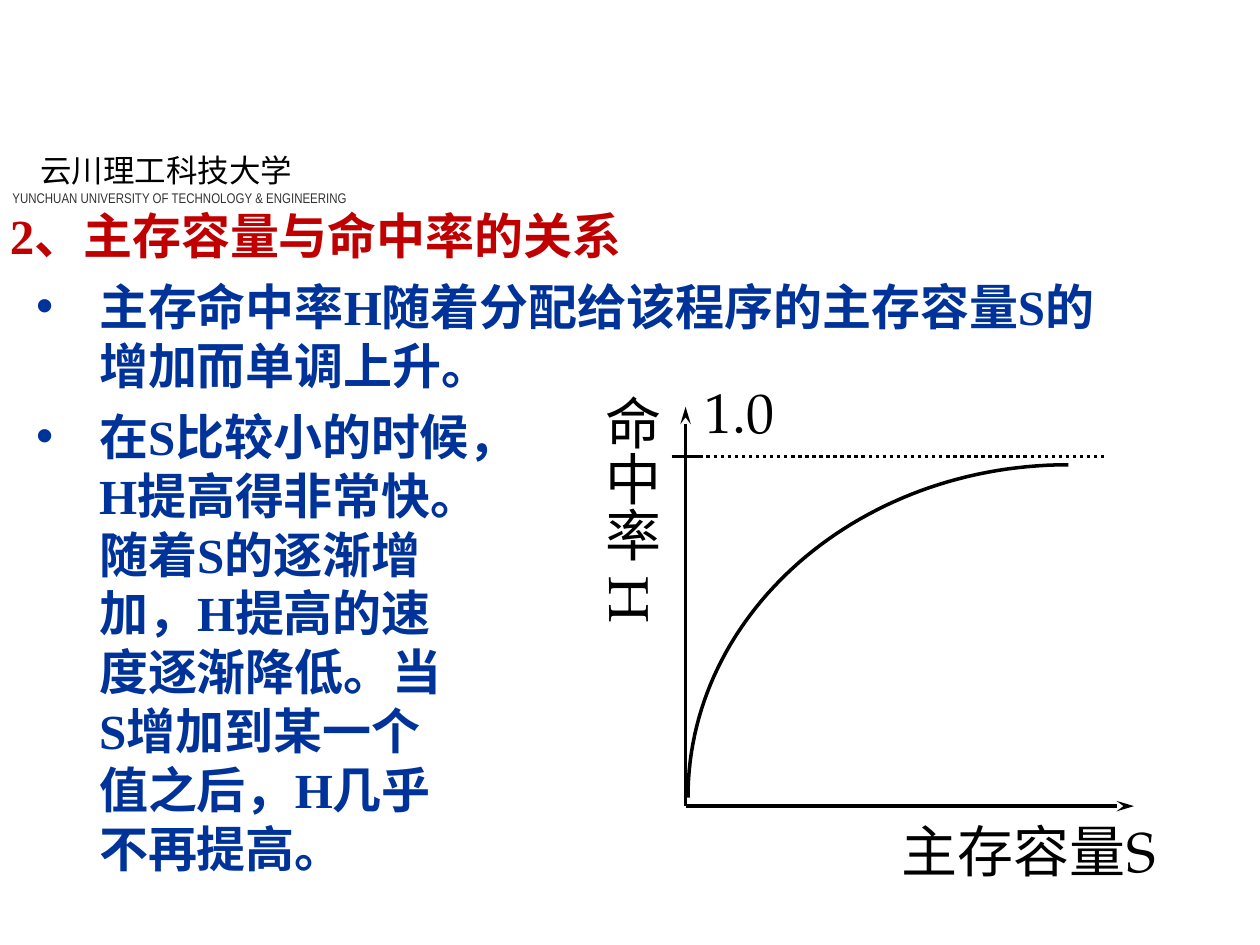
from dataclasses import dataclass

from lxml.etree import SubElement
from pptx import Presentation
from pptx.dml.color import RGBColor
from pptx.enum.dml import MSO_LINE
from pptx.enum.shapes import MSO_CONNECTOR
from pptx.enum.text import MSO_ANCHOR, PP_ALIGN
from pptx.oxml.ns import qn
from pptx.slide import Slide
from pptx.util import Cm, Pt

COLORS = {"black": "000000", "gray": "333333", "red": "C00000", "blue": "003399"}


@dataclass
class SlideWriter:
    slide: Slide
    body_font: str = "Times New Roman"
    label_font: str = "TeX Gyre Pagella"
    bullet_font: str = "Arial"
    line_width: float = 2

    def text_box(self, left, top, width, height, margins=(0.25, 0.13), wrap=True):
        shape = self.slide.shapes.add_textbox(Cm(left), Cm(top), Cm(width), Cm(height))
        frame = shape.text_frame
        frame.word_wrap = wrap
        frame.margin_left = frame.margin_right = Cm(margins[0])
        frame.margin_top = frame.margin_bottom = Cm(margins[1])
        return shape

    def paragraph(self, shape, lines, size, font, color, bold=False, indent=(0, 0),
                  before=0, level=0, bullet=None):
        frame = shape.text_frame
        first = frame.paragraphs[0]
        paragraph = frame.add_paragraph() if first.runs else first
        paragraph.level = level
        paragraph.space_before = Pt(before)
        for number, line in enumerate(lines):
            if number:
                paragraph.add_line_break()
            run = paragraph.add_run()
            run.text = line
            run.font.size = Pt(size)
            run.font.name = font
            run.font.bold = bold
            run.font.color.rgb = RGBColor.from_string(COLORS[color])
        properties = paragraph._p.get_or_add_pPr()
        properties.set("marL", str(Cm(indent[0])))
        properties.set("indent", str(Cm(indent[1])))
        if bullet:
            bullet_color = SubElement(properties, qn("a:buClr"))
            SubElement(bullet_color, qn("a:srgbClr")).set("val", COLORS[color])
            SubElement(properties, qn("a:buFont")).set("typeface", self.bullet_font)
            SubElement(properties, qn("a:buChar")).set("char", bullet)
        return paragraph

    def label(self, text, left, top, width, height, spacing, vertical=False):
        margins = (0.1, 0.2) if vertical else (0, 0.1)
        shape = self.text_box(left, top, width, height, margins, wrap=False)
        shape.text_frame.vertical_anchor = MSO_ANCHOR.MIDDLE
        paragraph = self.paragraph(shape, [text], 32, self.label_font, "black")
        paragraph.alignment = PP_ALIGN.CENTER
        paragraph.line_spacing = spacing
        if vertical:
            shape.element.find(".//" + qn("a:bodyPr")).set("vert", "eaVert")

    def style_line(self, shape):
        shape.line.color.rgb = RGBColor.from_string(COLORS["black"])
        shape.line.width = Pt(self.line_width)

    def line(self, start, end, dash=None, arrow=None):
        points = [Cm(value) for value in (*start, *end)]
        connector = self.slide.shapes.add_connector(MSO_CONNECTOR.STRAIGHT, *points)
        self.style_line(connector)
        if dash:
            connector.line.dash_style = dash
        if arrow:
            outline = connector.element.find(".//" + qn("a:ln"))
            arrowhead = SubElement(outline, qn("a:" + arrow))
            arrowhead.set("type", "stealth")
            arrowhead.set("len", "lg")
        SubElement(connector.element.spPr, qn("a:effectLst"))

    def curve(self, controls, steps=60):
        points = []
        for step in range(steps + 1):
            t = step / steps
            weights = ((1 - t) ** 3, 3 * t * (1 - t) ** 2, 3 * t * t * (1 - t), t ** 3)
            points.append(tuple(
                Cm(sum(weight * point[axis] for weight, point in zip(weights, controls)))
                for axis in (0, 1)))
        builder = self.slide.shapes.build_freeform(*points[0])
        builder.add_line_segments(points[1:], close=False)
        shape = builder.convert_to_shape()
        shape.shadow.inherit = False
        shape.fill.background()
        self.style_line(shape)


def main():
    presentation = Presentation()
    presentation.slide_width = Cm(25.4)
    presentation.slide_height = Cm(19.05)
    writer = SlideWriter(presentation.slides.add_slide(presentation.slide_layouts[6]))

    header = writer.text_box(0, 2.92, 7.7, 1.7)
    writer.paragraph(header, ["云川理工科技大学"], 18, "Arial", "black", indent=(0.56, 0))
    writer.paragraph(header, ["YUNCHUAN UNIVERSITY OF TECHNOLOGY & ENGINEERING"],
                     8, "Arial Narrow", "gray")

    body = writer.text_box(-1.12, 4.01, 23.7, 16.08)
    writer.paragraph(body, ["2、主存容量与命中率的关系"], 28, writer.body_font, "red",
                     bold=True, indent=(1.07, 0), before=7, level=1)
    bullets = [
        ["主存命中率H随着分配给该程序的主存容量S的增加而单调上升。"],
        ["在S比较小的时候，", "H提高得非常快。", "随着S的逐渐增", "加，H提高的速",
         "度逐渐降低。当", "S增加到某一个", "值之后，H几乎", "不再提高。"],
    ]
    for lines in bullets:
        writer.paragraph(body, lines, 28, writer.body_font, "blue", bold=True,
                         indent=(2.87, -1.27), before=7, level=2, bullet="•")

    axis_left, axis_bottom, limit = 13.82, 16.25, 9.2
    tick_end = axis_left + 0.28
    writer.line((axis_left, 8.2), (axis_left, axis_bottom), arrow="headEnd")
    writer.line((axis_left, axis_bottom), (22.86, axis_bottom), arrow="tailEnd")
    writer.line((axis_left - 0.28, limit), (tick_end, limit))
    writer.curve([(13.87, 16.08), (13.87, 12.37), (17.3, 9.37), (21.54, 9.37)])
    writer.line((tick_end, limit), (22.33, limit), dash=MSO_LINE.ROUND_DOT)

    writer.label("命中率 H", 12.07, 7.77, 1.07, 5.28, 0.8, vertical=True)
    writer.label("主存容量S", 17.74, 16.26, 6, 1.47, 1.2)
    writer.label("1.0", 14.01, 7.77, 1.8, 1.27, 0.8)

    presentation.save("out.pptx")


if __name__ == "__main__":
    main()
